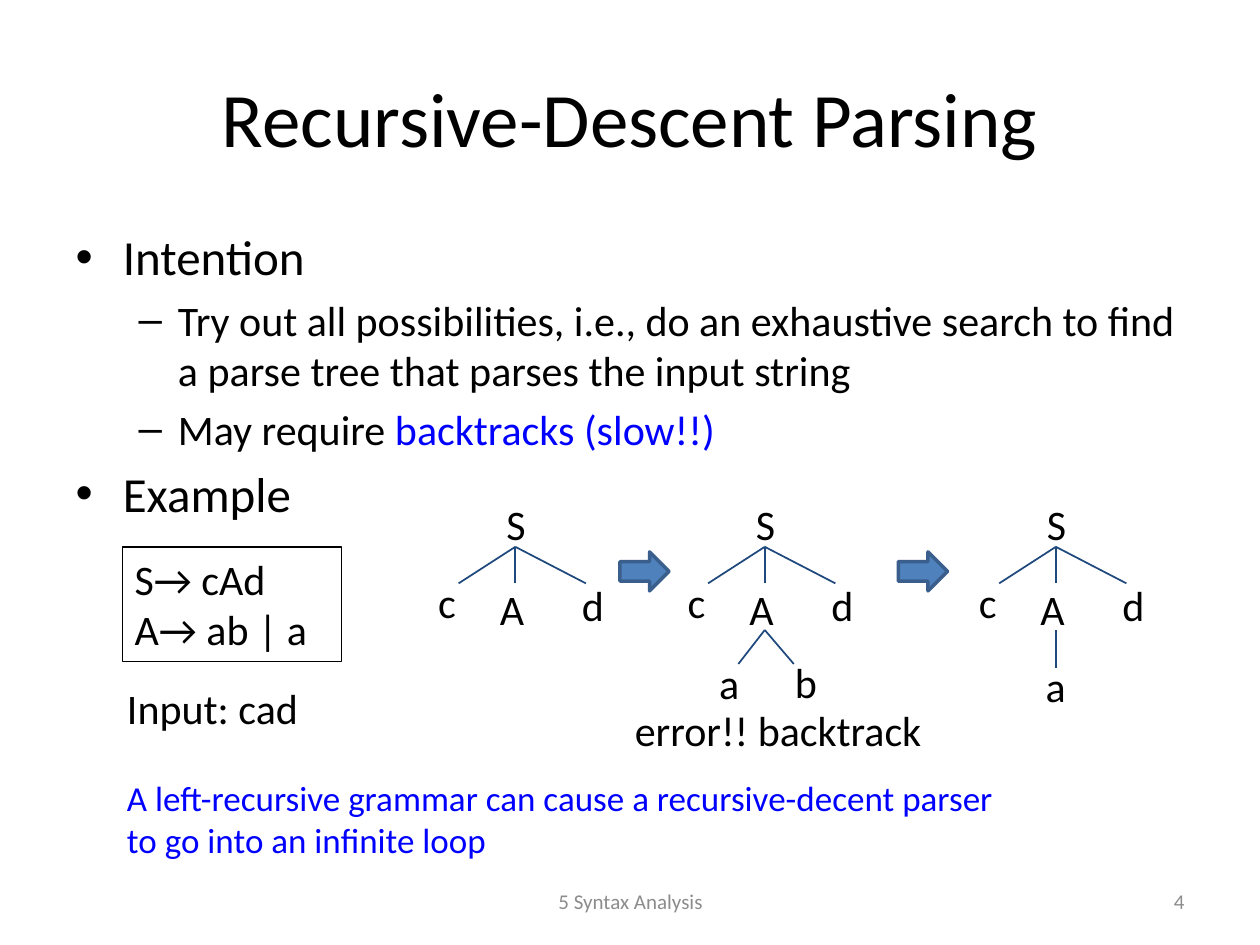
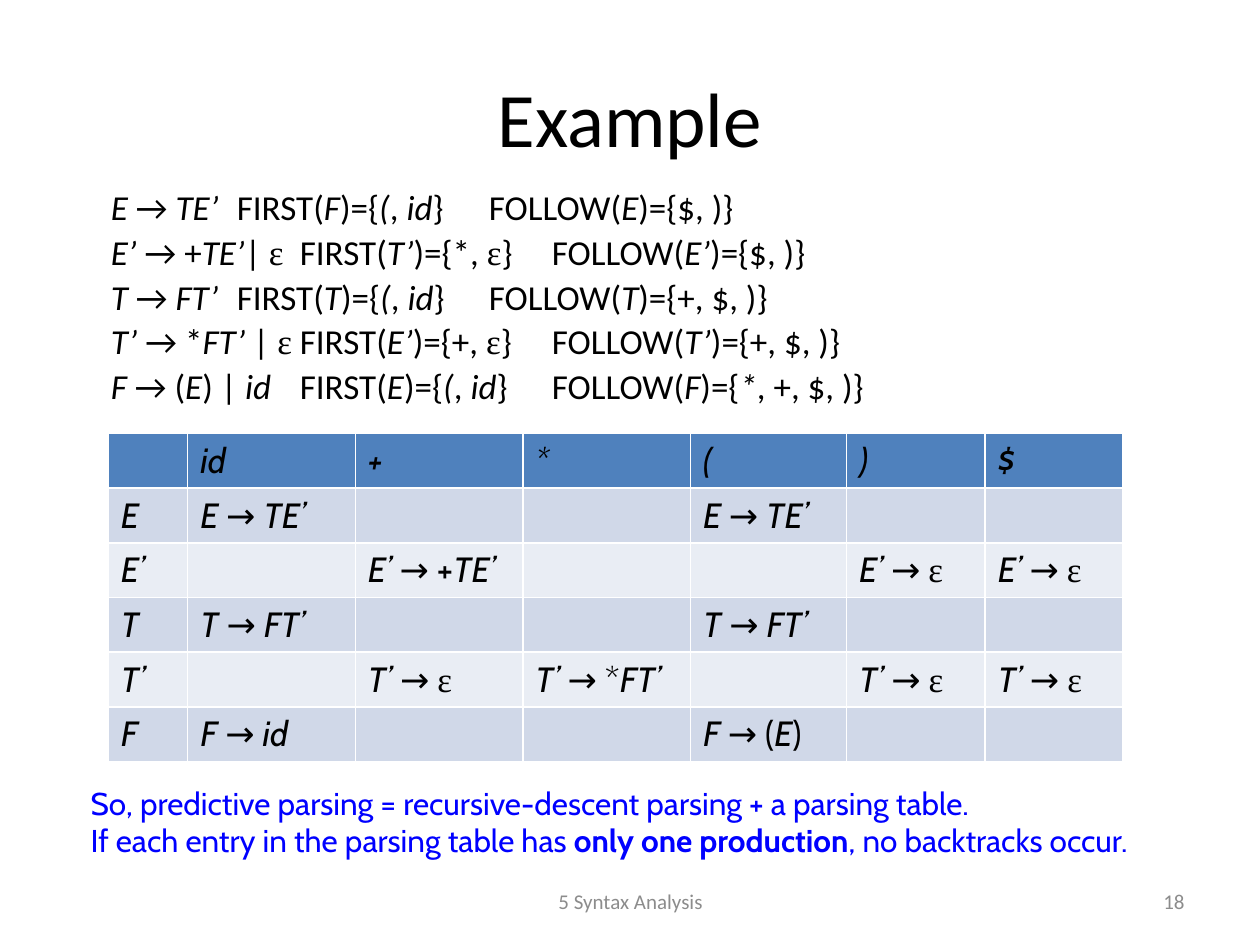
"""Build two syntax analysis slides: recursive-descent parsing and a parsing table."""
import itertools

import pptx
import pptx.dml.color
import pptx.enum.shapes
import pptx.enum.text
import pptx.oxml.ns
import pptx.util
from lxml import etree
from pptx.util import Inches

BLACK = pptx.dml.color.RGBColor(0x00, 0x00, 0x00)
BLUE = pptx.dml.color.RGBColor(0x00, 0x00, 0xFF)
GREY = pptx.dml.color.RGBColor(0x8C, 0x8C, 0x8C)
EDGE = pptx.dml.color.RGBColor(0x1F, 0x49, 0x7D)
ARROW = pptx.dml.color.RGBColor(0x4F, 0x81, 0xBD)
ARROW_LINE = pptx.dml.color.RGBColor(0x3A, 0x5F, 0x8C)
BAND_DARK = pptx.dml.color.RGBColor(0xD0, 0xD8, 0xE8)
BAND_LIGHT = pptx.dml.color.RGBColor(0xE9, 0xED, 0xF4)
MAIN_FONT, TABLE_FONT, SYMBOL_FONT = "Calibri", "Cabin", "Times New Roman"
ALIGN = pptx.enum.text.PP_ALIGN
ANCHOR = pptx.enum.text.MSO_ANCHOR


def write(para, text, size, font=MAIN_FONT, colour=BLACK, bold=False):
    """Add runs to a paragraph; underscores switch italics on and off."""
    for index, part in enumerate(text.split("_")):
        for is_epsilon, letters in itertools.groupby(part, lambda letter: letter == "ε"):
            run = para.add_run()
            run.text = "".join(letters)
            run.font.name = SYMBOL_FONT if is_epsilon else font
            run.font.size = pptx.util.Pt(size)
            run.font.color.rgb = colour
            run.font.italic = index % 2 == 1
            run.font.bold = bold


def add_text(shapes, left, top, width, height, lines, size=24, font=MAIN_FONT,
             colour=BLACK, align=ALIGN.LEFT, anchor=ANCHOR.TOP, wrap=False):
    """Add a text box with one paragraph per line."""
    box = shapes.add_textbox(Inches(left), Inches(top), Inches(width), Inches(height))
    frame = box.text_frame
    frame.word_wrap = wrap
    frame.vertical_anchor = anchor
    for index, line in enumerate(lines):
        para = frame.add_paragraph() if index else frame.paragraphs[0]
        para.alignment = align
        write(para, line, size, font, colour)
    return box


deck = pptx.Presentation()
deck.slide_width, deck.slide_height = Inches(10), Inches(7.5)

slides = []
for title, number in [("Recursive-Descent Parsing", "4"), ("Example", "18")]:
    slide = deck.slides.add_slide(deck.slide_layouts[1])
    heading = slide.shapes.title
    heading.left, heading.top = Inches(0.5), Inches(0.3)
    heading.width, heading.height = Inches(9), Inches(1.25)
    write(heading.text_frame.paragraphs[0], title, 44)
    slide.placeholders[1].text_frame.auto_size = pptx.enum.text.MSO_AUTO_SIZE.NONE
    add_text(slide.shapes, 7.17, 6.95, 2.33, 0.4, [number], 12, colour=GREY,
             align=ALIGN.RIGHT, anchor=ANCHOR.MIDDLE, wrap=True)
    add_text(slide.shapes, 3.42, 6.95, 3.17, 0.4, ["5 Syntax Analysis"], 12, colour=GREY,
             align=ALIGN.CENTER, anchor=ANCHOR.MIDDLE, wrap=True)
    slides.append(slide)
parsing, example = slides

body = parsing.placeholders[1]
body.left, body.top, body.width, body.height = Inches(0.5), Inches(1.75), Inches(9), Inches(4.95)
outline = [
    (0, "Intention", ""),
    (1, "Try out all possibilities, i.e., do an exhaustive search to find "
        "a parse tree that parses the input string", ""),
    (1, "May require", " backtracks (slow!!)"),
    (0, "Example", ""),
]
for index, (level, text, highlight) in enumerate(outline):
    para = body.text_frame.add_paragraph() if index else body.text_frame.paragraphs[0]
    para.level = level
    size = 24 if level else 28
    write(para, text, size)
    write(para, highlight, size, colour=BLUE)

grammar = add_text(parsing.shapes, 0.97, 4.34, 1.74, 0.91, ["S→ cAd", "A→ ab | a"], wrap=True)
grammar.line.color.rgb = BLACK
grammar.line.width = pptx.util.Pt(0.75)
add_text(parsing.shapes, 0.91, 5.37, 1.57, 0.5, ["Input: cad"])
add_text(parsing.shapes, 0.91, 6.11, 7.23, 0.77,
         ["A left-recursive grammar can cause a recursive-decent parser ",
          "to go into an infinite loop"], 20, colour=BLUE)

shared_labels = [("S", -0.17, 3.91, 0.36), ("c", -0.71, 4.53, 0.34),
                 ("A", -0.22, 4.58, 0.4), ("d", 0.43, 4.55, 0.38)]
shared_edges = [(4.34, -0.45, 4.63), (4.34, 0, 4.63), (4.34, 0.56, 4.63)]
trees = [
    (4.09, [], []),
    (6.07, [("a", -0.46, 5.17, 0.36), ("b", 0.14, 5.16, 0.38),
            ("error!! backtrack", -1.13, 5.54, 2.5)],
     [(5, -0.21, 5.27), (5, 0.23, 5.27)]),
    (8.38, [("a", -0.18, 5.19, 0.36)], [(5, 0, 5.3)]),
]
for root, extra_labels, extra_edges in trees:
    tree = parsing.shapes.add_group_shape()
    for label, offset, top, width in shared_labels + extra_labels:
        add_text(tree.shapes, root + offset, top, width, 0.51, [label])
    for start, offset, end in shared_edges + extra_edges:
        edge = tree.shapes.add_connector(
            pptx.enum.shapes.MSO_CONNECTOR.STRAIGHT,
            Inches(root), Inches(start), Inches(root + offset), Inches(end))
        edge.line.color.rgb = EDGE
        edge.line.width = pptx.util.Pt(1)
        etree.SubElement(edge.element.spPr, pptx.oxml.ns.qn("a:effectLst"))

for left in (4.92, 7.13):
    arrow = parsing.shapes.add_shape(pptx.enum.shapes.MSO_SHAPE.RIGHT_ARROW,
                                     Inches(left), Inches(4.38), Inches(0.39), Inches(0.31))
    arrow.shadow.inherit = False
    arrow.fill.solid()
    arrow.fill.fore_color.rgb = ARROW
    arrow.line.color.rgb = ARROW_LINE
    arrow.line.width = pptx.util.Pt(2)

body = example.placeholders[1]
body.left, body.top, body.width, body.height = Inches(0.78), Inches(1.46), Inches(8.72), Inches(1.9)
productions = [
    ("_E_ → _TE’_", "FIRST(_F_)={_(_, _id_}", "FOLLOW(_E_)={$, )}"),
    ("_E’_ → +_TE’_| ε", "FIRST(_T’_)={*, ε}", "FOLLOW(_E’_)={$, )}"),
    ("_T_ → _FT’_", "FIRST(_T_)={_(_, _id_}", "FOLLOW(_T_)={+, $, )}"),
    ("_T’_ → *_FT’_ | ε", "FIRST(_E’_)={+, ε}", "FOLLOW(_T’_)={+, $, )}"),
    ("_F_ → (_E_) | _id_", "FIRST(_E_)={_(_, _id_}", "FOLLOW(_F_)={_*_, +, $, )}"),
]
for index, columns in enumerate(productions):
    para = body.text_frame.add_paragraph() if index else body.text_frame.paragraphs[0]
    para.line_spacing = 0.9
    para.space_before = pptx.util.Pt(4 if index else 0)
    write(para, "\t".join(columns), 20)
    properties = para._p.get_or_add_pPr()
    properties.set("marL", "0")
    properties.set("indent", "0")
    etree.SubElement(properties, pptx.oxml.ns.qn("a:buNone"))
    tabs = etree.SubElement(properties, pptx.oxml.ns.qn("a:tabLst"))
    for position in (2.38, 5.38):
        etree.SubElement(tabs, pptx.oxml.ns.qn("a:tab"), pos=str(Inches(position)), algn="l")

entries = [
    ["", "_id_", "_+_", "_*_", "_(_", "_)_", "_$_"],
    ["_E_", "_E_ → _TE’_", "", "", "_E_ → _TE’_", "", ""],
    ["_E’_", "", "_E’_ → +_TE’_", "", "", "_E’_ → ε", "_E’_ → ε"],
    ["_T_", "_T_ → _FT’_", "", "", "_T_ → _FT’_", "", ""],
    ["_T’_", "", "_T’_ → ε", "_T’_ → *_FT’_", "", "_T’_ → ε", "_T’_ → ε"],
    ["_F_", "_F_ → _id_", "", "", "_F_ → (_E_)", "", ""],
]
widths = [0.63, 1.33, 1.33, 1.33, 1.24, 1.1, 1.09]
table = example.shapes.add_table(len(entries), len(widths), Inches(0.86), Inches(3.44),
                                 Inches(sum(widths)), Inches(2.6)).table
for column, width in zip(table.columns, widths):
    column.width = Inches(width)
for row_index, row in enumerate(entries):
    fill = BAND_DARK if row_index % 2 else BAND_LIGHT
    for column_index, entry in enumerate(row):
        cell = table.cell(row_index, column_index)
        cell.fill.solid()
        cell.fill.fore_color.rgb = fill if row_index else ARROW
        write(cell.text_frame.paragraphs[0], entry, 20, TABLE_FONT)

note = add_text(example.shapes, 0.62, 6.17, 8.91, 1.01,
                ["So, predictive parsing = recursive-descent parsing + a parsing table.",
                 "If each entry in the parsing table has "], 18, TABLE_FONT, BLUE, wrap=True)
conclusion = note.text_frame.paragraphs[1]
write(conclusion, "only one production", 18, TABLE_FONT, BLUE, bold=True)
write(conclusion, ", no backtracks occur.", 18, TABLE_FONT, BLUE)

deck.save("out.pptx")
